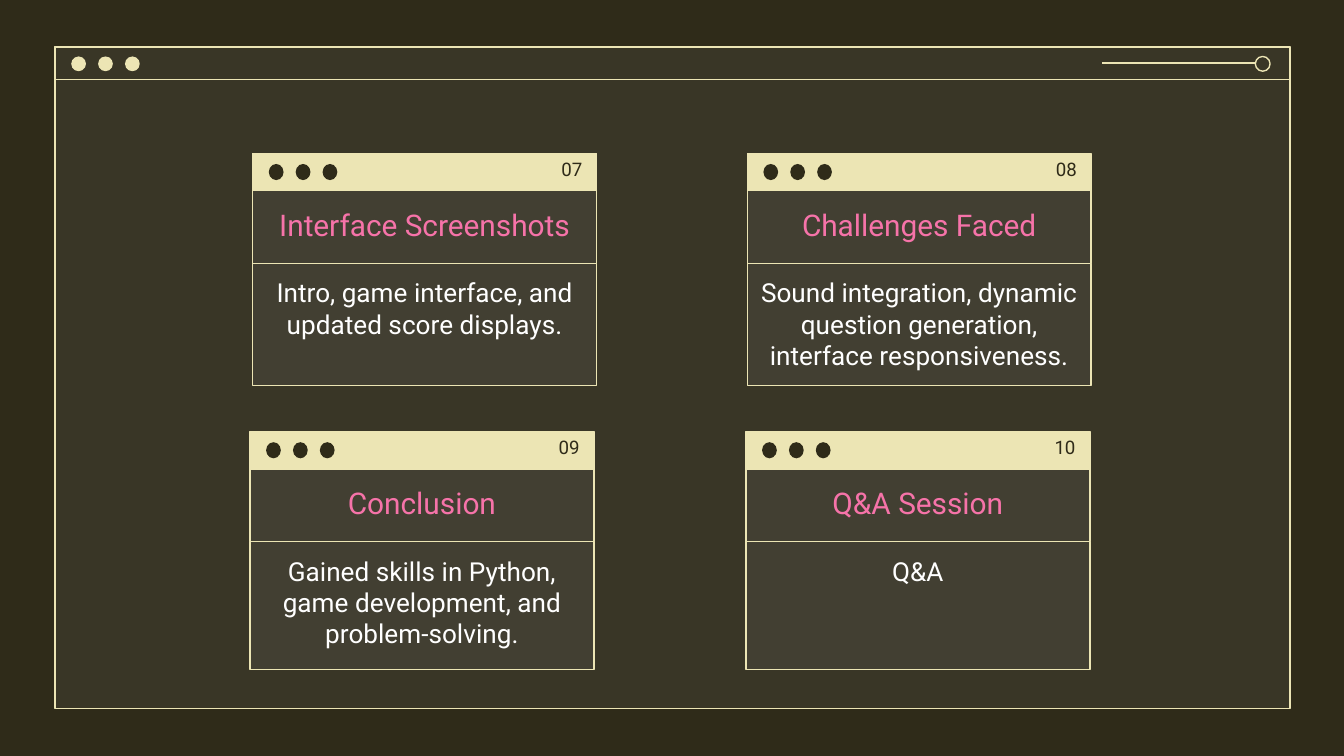
from collections import namedtuple
from dataclasses import dataclass

from lxml.etree import SubElement
from pptx import Presentation
from pptx.dml.color import RGBColor
from pptx.enum.shapes import MSO_CONNECTOR, MSO_SHAPE
from pptx.enum.text import MSO_ANCHOR, PP_ALIGN
from pptx.oxml.ns import qn
from pptx.util import Inches, Pt

Box = namedtuple("Box", "left top width height")


@dataclass(frozen=True)
class Theme:
    dark: RGBColor = RGBColor(0x2F, 0x2B, 0x19)
    cream: RGBColor = RGBColor(0xEC, 0xE5, 0xB4)
    veil: RGBColor = RGBColor(0x7C, 0x7C, 0x7C)
    pink: RGBColor = RGBColor(0xF6, 0x73, 0xA9)
    white: RGBColor = RGBColor(0xFF, 0xFF, 0xFF)
    veil_opacity: int = 14
    font: str = "Roboto"
    title_size: int = 16
    body_size: int = 14
    number_size: int = 10
    line_width: float = 0.75


THEME = Theme()
DOT_SIZE = 0.11
DOT_STEP = 0.2

CARDS = [
    (Box(1.88, 1.14, 2.56, 1.73), "07", "Interface Screenshots",
     "Intro, game interface, and updated score displays."),
    (Box(5.56, 1.14, 2.56, 1.73), "08", "Challenges Faced",
     "Sound integration, dynamic question generation, interface responsiveness."),
    (Box(1.86, 3.21, 2.56, 1.77), "09", "Conclusion",
     "Gained skills in Python, game development, and problem-solving."),
    (Box(5.55, 3.21, 2.56, 1.77), "10", "Q&A Session", "Q&A"),
]


def add_outline(shape):
    shape.line.color.rgb = THEME.cream
    shape.line.width = Pt(THEME.line_width)


def add_figure(slide, kind, box, fill=None, outlined=False):
    shape = slide.shapes.add_shape(kind, *map(Inches, box))
    shape.shadow.inherit = False
    if fill is None:
        shape.fill.background()
    else:
        shape.fill.solid()
        shape.fill.fore_color.rgb = fill
    if outlined:
        add_outline(shape)
    else:
        shape.line.fill.background()
    return shape


def add_veil(slide, box):
    """Lay a translucent grey panel over the background."""
    shape = add_figure(slide, MSO_SHAPE.RECTANGLE, box, THEME.veil)
    color = shape.fill._xPr.find(f".//{qn('a:srgbClr')}")
    SubElement(color, qn("a:alpha"), val=str(THEME.veil_opacity * 1000))


def add_dots(slide, left, top, height, color):
    for index in range(3):
        box = Box(left + index * DOT_STEP, top, DOT_SIZE, height)
        add_figure(slide, MSO_SHAPE.OVAL, box, color)


def write_text(shape, text, size, color, alignment, anchor):
    frame = shape.text_frame
    frame_format = {"word_wrap": True, "vertical_anchor": anchor}
    for side in ("left", "top", "right", "bottom"):
        frame_format[f"margin_{side}"] = Inches(0.1)
    for name, value in frame_format.items():
        setattr(frame, name, value)
    paragraph = frame.paragraphs[0]
    paragraph.alignment = alignment
    run = paragraph.add_run()
    run.text = text
    for name, value in {"name": THEME.font, "size": Pt(size)}.items():
        setattr(run.font, name, value)
    run.font.color.rgb = color


def add_window(slide, box):
    """Draw the large window with its title bar, dots and slider."""
    add_veil(slide, box)
    add_figure(slide, MSO_SHAPE.RECTANGLE, box, outlined=True)
    add_figure(slide, MSO_SHAPE.RECTANGLE, box._replace(height=0.24), outlined=True)
    dot_top = box.top + 0.07
    add_dots(slide, box.left + 0.12, dot_top, DOT_SIZE, THEME.cream)

    knob_left = box.left + box.width - 0.26
    add_figure(slide, MSO_SHAPE.OVAL, Box(knob_left, dot_top, DOT_SIZE, DOT_SIZE), outlined=True)
    middle = Inches(box.top + 0.12)
    slider = slide.shapes.add_connector(
        MSO_CONNECTOR.STRAIGHT, Inches(knob_left - 1.14), middle, Inches(knob_left), middle)
    add_outline(slider)
    SubElement(slider._element.spPr, qn("a:effectLst"))


def add_card(slide, box, number, title, body):
    """Draw a small window with a numbered bar, a title and a body."""
    add_veil(slide, box)
    add_figure(slide, MSO_SHAPE.RECTANGLE, box._replace(height=0.28), THEME.cream, outlined=True)
    add_dots(slide, box.left + 0.12, box.top + 0.08, 0.12, THEME.dark)

    title_box = box._replace(top=box.top + 0.24, height=0.58)
    body_box = box._replace(top=box.top + 0.82, height=box.height - 0.82)
    sections = [
        (title_box, title, THEME.title_size, THEME.pink, MSO_ANCHOR.MIDDLE),
        (body_box, body, THEME.body_size, THEME.white, MSO_ANCHOR.TOP),
    ]
    for section_box, text, size, color, anchor in sections:
        shape = add_figure(slide, MSO_SHAPE.RECTANGLE, section_box, outlined=True)
        write_text(shape, text, size, color, PP_ALIGN.CENTER, anchor)

    number_box = Box(box.left + box.width - 1.4, box.top, 1.39, 0.24)
    label = slide.shapes.add_textbox(*map(Inches, number_box))
    write_text(label, number, THEME.number_size, THEME.dark, PP_ALIGN.RIGHT, MSO_ANCHOR.MIDDLE)


def main():
    presentation = Presentation()
    presentation.slide_width = Inches(10)
    presentation.slide_height = Inches(10 * 9 / 16)
    slide = presentation.slides.add_slide(presentation.slide_layouts[6])
    slide.background.fill.solid()
    slide.background.fill.fore_color.rgb = THEME.dark

    add_window(slide, Box(0.41, 0.35, 9.19, 4.92))
    for box, number, title, body in CARDS:
        add_card(slide, box, number, title, body)
    presentation.save("out.pptx")


if __name__ == "__main__":
    main()
